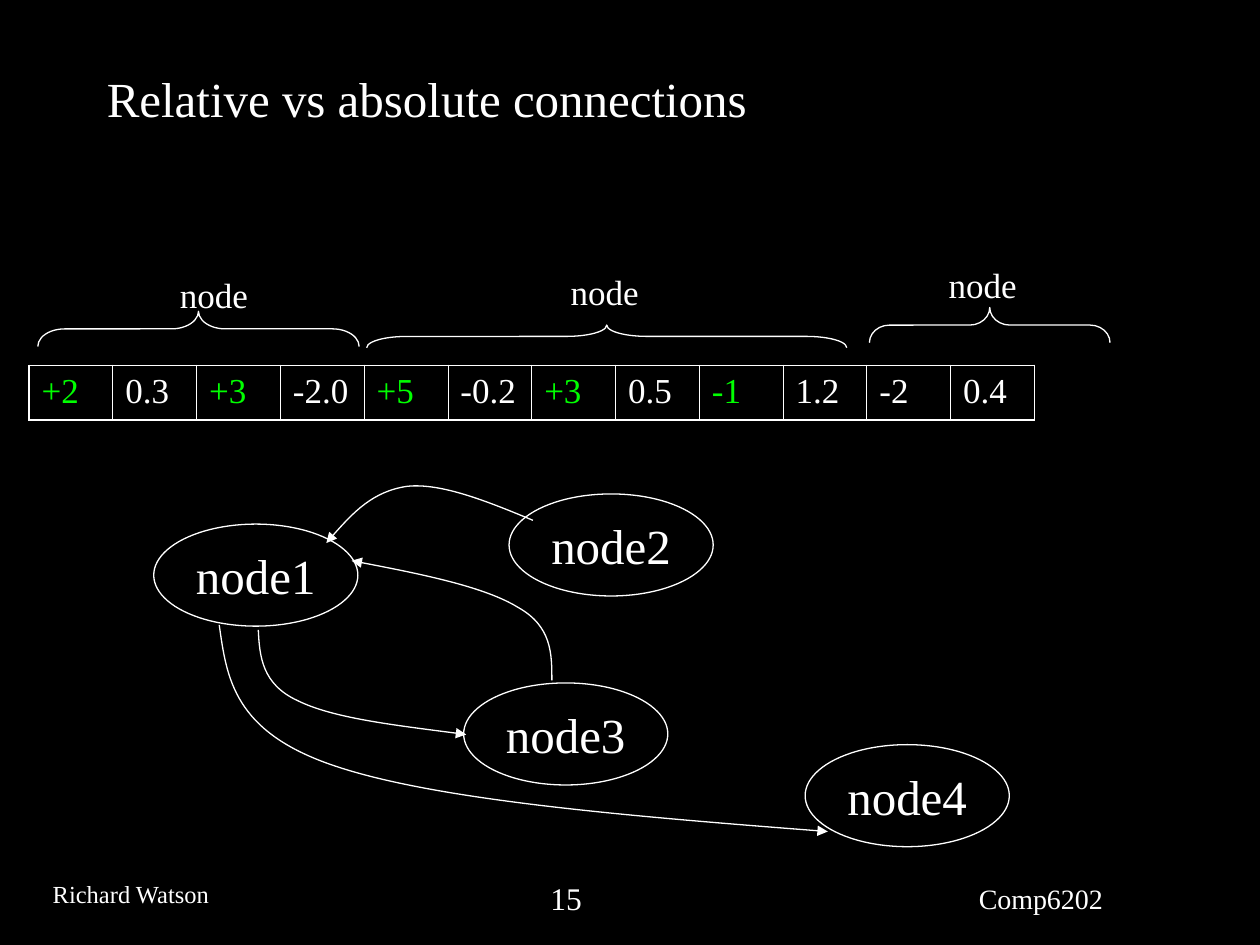
from dataclasses import dataclass

from lxml import etree
from pptx import Presentation
from pptx.dml.color import RGBColor
from pptx.enum import shapes, text
from pptx.oxml.ns import qn
from pptx.util import Inches, Pt


@dataclass(frozen=True)
class Theme:
    font: str = "Times New Roman"
    background: RGBColor = RGBColor(0, 0, 0)
    ink: RGBColor = RGBColor(255, 255, 255)
    link: RGBColor = RGBColor(0, 255, 0)
    heading: float = 28
    body: float = 20
    number: float = 18
    course: float = 16
    author: float = 14
    line: float = 0.75
    outer_border: float = 1.08
    inner_border: float = 0.45


THEME = Theme()

GENOME = ["+2", "0.3", "+3", "-2.0", "+5", "-0.2", "+3", "0.5", "-1", "1.2", "-2", "0.4"]
LINK_COLUMNS = {0, 2, 4, 6, 8}

# Brace left, top, width, height; label left, top
GENE_GROUPS = [
    ((0.3, 2.47, 2.55, 0.28), (1.33, 2.12)),
    ((2.91, 2.58, 3.81, 0.18), (4.43, 2.1)),
    ((6.9, 2.44, 1.91, 0.28), (7.43, 2.04)),
]

NODES = {
    "node1": (1.22, 4.16),
    "node2": (4.04, 3.92),
    "node3": (3.68, 5.42),
    "node4": (6.39, 5.91),
}

# Start point, then two control points and an end point for each curve piece
CONNECTIONS = [
    [(2.05, 5), (2.06, 5.21), (2.08, 5.43), (2.36, 5.56),
     (2.64, 5.7), (3.17, 5.76), (3.7, 5.83)],
    [(1.74, 4.96), (1.8, 5.38), (1.85, 5.81), (2.66, 6.08),
     (3.46, 6.35), (5.01, 6.48), (6.57, 6.6)],
    [(4.38, 5.4), (4.38, 5.19), (4.38, 4.97), (4.11, 4.82),
     (3.85, 4.66), (3.32, 4.55), (2.79, 4.45)],
    [(4.23, 4.13), (3.87, 3.98), (3.5, 3.83), (3.23, 3.86),
     (2.96, 3.9), (2.77, 4.1), (2.59, 4.31)],
]


def write(tf, words, size, color=THEME.ink):
    p = tf.paragraphs[0]
    p.text = words
    p.font.name = THEME.font
    p.font.size = Pt(size)
    p.font.color.rgb = color
    return p


def add_label(s, words, left, top, width, height, size, wrap=False):
    tf = s.shapes.add_textbox(*map(Inches, (left, top, width, height))).text_frame
    tf.word_wrap = wrap
    write(tf, words, size)
    return tf


def outline(sp):
    sp.shadow.inherit = False
    sp.fill.background()
    sp.line.color.rgb = THEME.ink
    sp.line.width = Pt(THEME.line)


def add_brace(s, left, top, width, height):
    """Add an upward-pointing brace: a left brace turned a quarter."""
    sp = s.shapes.add_shape(
        shapes.MSO_SHAPE.LEFT_BRACE,
        Inches(left + (width - height) / 2), Inches(top + (height - width) / 2),
        Inches(height), Inches(width))
    sp.rotation = 90
    sp.adjustments[0] = width / height / 12
    outline(sp)


def add_node(s, name, left, top):
    sp = s.shapes.add_shape(
        shapes.MSO_SHAPE.OVAL, *map(Inches, (left, top, 1.62, 0.81)))
    outline(sp)
    sp.text_frame.word_wrap = False
    sp.text_frame.vertical_anchor = text.MSO_ANCHOR.MIDDLE
    write(sp.text_frame, name, THEME.heading).alignment = text.PP_ALIGN.CENTER


def add_curved_arrow(s, points):
    """Add a Bezier curve, joining each three line segments into one cubic."""
    start, *rest = [(Inches(x), Inches(y)) for x, y in points]
    builder = s.shapes.build_freeform(*start)
    builder.add_line_segments(rest, close=False)
    sp = builder.convert_to_shape()
    outline(sp)
    segments = list(sp._element.iter(qn("a:lnTo")))
    for i in range(0, len(segments), 3):
        cubic = etree.Element(qn("a:cubicBezTo"))
        segments[i].addprevious(cubic)
        for segment in segments[i:i + 3]:
            cubic.append(segment[0])
            segment.getparent().remove(segment)
    etree.SubElement(sp.line._get_or_add_ln(), qn("a:tailEnd"), type="triangle")


def set_border(cell, side, width):
    ln = etree.SubElement(
        cell._tc.get_or_add_tcPr(), qn(f"a:ln{side}"), w=str(Pt(width)))
    fill = etree.SubElement(ln, qn("a:solidFill"))
    etree.SubElement(fill, qn("a:srgbClr"), val=str(THEME.ink))


def add_genome(s, left, top, width, height):
    count = len(GENOME)
    table = s.shapes.add_table(
        1, count, *map(Inches, (left, top, width, height))).table
    table.first_row = table.horz_banding = False
    for i, value in enumerate(GENOME):
        table.columns[i].width = Inches(width / count)
        cell = table.cell(0, i)
        for side in "LRTB":
            inner = (side == "L" and i > 0) or (side == "R" and i < count - 1)
            set_border(cell, side, THEME.inner_border if inner else THEME.outer_border)
        cell.fill.background()
        color = THEME.link if i in LINK_COLUMNS else THEME.ink
        write(cell.text_frame, value, THEME.body, color).space_before = Pt(5)


def main():
    prs = Presentation()
    prs.slide_width, prs.slide_height = Inches(10), Inches(7.5)
    s = prs.slides.add_slide(prs.slide_layouts[6])
    s.background.fill.solid()
    s.background.fill.fore_color.rgb = THEME.background

    add_label(s, "Comp6202", 7.67, 6.95, 2.5, 0.36, THEME.course, wrap=True)
    add_label(s, "Richard Watson", 0.32, 6.93, 1.46, 0.34, THEME.author)
    add_label(s, "15", 4.27, 6.93, 1.24, 0.4, THEME.number)
    title = add_label(s, "Relative vs absolute connections",
                      0.75, 0.41, 8.5, 0.73, THEME.heading, wrap=True)
    title.vertical_anchor = text.MSO_ANCHOR.MIDDLE

    add_genome(s, 0.23, 2.9, 7.98, 0.43)
    for brace, label in GENE_GROUPS:
        add_brace(s, *brace)
        add_label(s, "node", *label, 0.74, 0.44, THEME.body)
    for name, position in NODES.items():
        add_node(s, name, *position)
    for points in CONNECTIONS:
        add_curved_arrow(s, points)
    prs.save("out.pptx")


if __name__ == "__main__":
    main()
